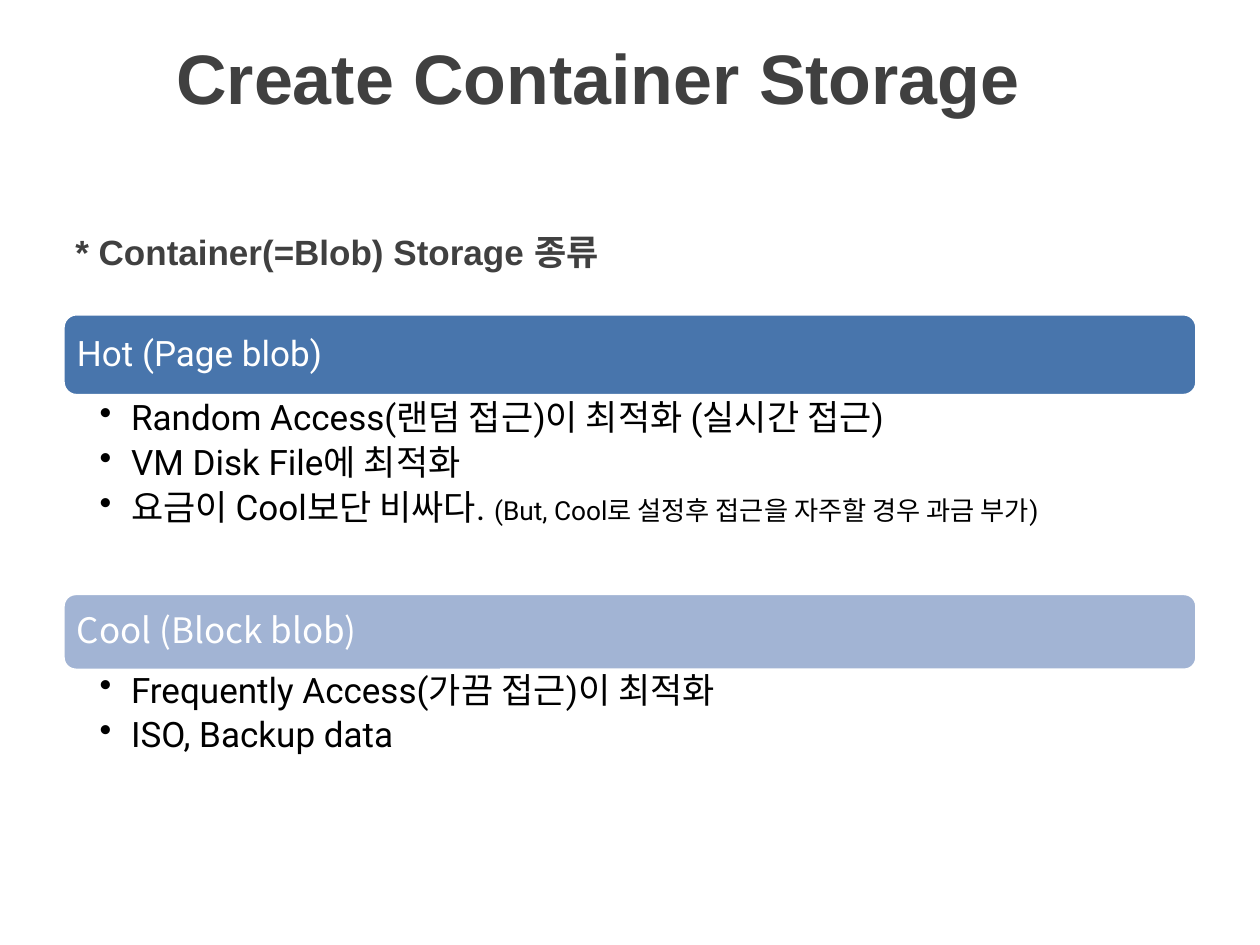
import dataclasses

import lxml.etree
import pptx
import pptx.dml.color
import pptx.enum.shapes
import pptx.enum.text
import pptx.oxml.ns
import pptx.util

Inches = pptx.util.Inches
Pt = pptx.util.Pt
Anchor = pptx.enum.text.MSO_ANCHOR
Align = pptx.enum.text.PP_ALIGN


@dataclasses.dataclass(frozen=True)
class Theme:
    heading_font: str = "Arial"
    body_font: str = "Roboto"
    korean_font: str = "Noto Sans CJK KR"
    heading_color: str = "404040"
    text_color: str = "000000"
    white: str = "FFFFFF"
    hot_color: str = "4875AC"
    cool_color: str = "A2B4D4"
    title_size: int = 40
    body_size: int = 20
    note_size: int = 15


def rgb(code):
    return pptx.dml.color.RGBColor.from_string(code)


class SlideBuilder:
    left, width = 0.5, 9

    def __init__(self, deck, theme):
        self.theme = theme
        self.slide = deck.slides.add_slide(deck.slide_layouts[5])

    def add_span(self, para, text, size, font, color, bold=False):
        span = para.add_run()
        span.text = text
        span.font.size = Pt(size)
        span.font.name = font
        span.font.bold = bold
        span.font.color.rgb = rgb(color)
        east_asian = lxml.etree.Element(pptx.oxml.ns.qn("a:ea"))
        east_asian.set("typeface", self.theme.korean_font)
        span.font._element.find(pptx.oxml.ns.qn("a:latin")).addnext(east_asian)

    def set_frame(self, shape, anchor, insets):
        """Insets are left, top, right and bottom in inches."""
        frame = shape.text_frame
        frame.word_wrap = True
        frame.auto_size = pptx.enum.text.MSO_AUTO_SIZE.NONE
        frame.vertical_anchor = anchor
        (frame.margin_left, frame.margin_top,
         frame.margin_right, frame.margin_bottom) = map(Inches, insets)
        frame.paragraphs[0].alignment = Align.LEFT
        return frame

    def add_text_box(self, top, height):
        return self.slide.shapes.add_textbox(
            Inches(self.left), Inches(top), Inches(self.width), Inches(height))

    def add_heading(self, shape, text, size):
        frame = self.set_frame(shape, Anchor.MIDDLE, (0.1, 0.05, 0.1, 0.05))
        self.add_span(frame.paragraphs[0], text, size,
                      self.theme.heading_font, self.theme.heading_color, True)

    def add_title(self, text):
        title = self.slide.shapes.title
        title.left, title.top = Inches(1.3), Inches(0.02)
        title.width, title.height = Inches(8.7), Inches(1.17)
        self.add_heading(title, text, self.theme.title_size)

    def add_subtitle(self, text):
        self.add_heading(self.add_text_box(1.75, 0.5), text, self.theme.body_size)

    def add_banner(self, text, top, height, color, font):
        banner = self.slide.shapes.add_shape(
            pptx.enum.shapes.MSO_SHAPE.ROUNDED_RECTANGLE,
            Inches(self.left), Inches(top), Inches(self.width), Inches(height))
        banner.shadow.inherit = False
        banner.fill.solid()
        banner.fill.fore_color.rgb = rgb(color)
        banner.line.color.rgb = rgb(self.theme.white)
        banner.line.width = Pt(2)
        frame = self.set_frame(banner, Anchor.MIDDLE, (0.08, 0.08, 0.08, 0.08))
        para = frame.paragraphs[0]
        para.line_spacing = 0.9
        self.add_span(para, text, self.theme.body_size, font, self.theme.white)

    def add_bullets(self, items, top, height):
        """Each item is a list of (text, size) spans."""
        box = self.add_text_box(top, height)
        frame = self.set_frame(box, Anchor.TOP, (0.29, 0.03, 0.16, 0.03))
        for index, spans in enumerate(items):
            para = frame.add_paragraph() if index else frame.paragraphs[0]
            para.line_spacing = 0.9
            para.space_after = Pt(0.2 * self.theme.body_size)
            properties = para._p.get_or_add_pPr()
            properties.set("marL", str(Inches(0.25)))
            properties.set("indent", str(-Inches(0.25)))
            bullet = lxml.etree.SubElement(properties, pptx.oxml.ns.qn("a:buChar"))
            bullet.set("char", "•")
            for text, size in spans:
                self.add_span(para, text, size,
                              self.theme.body_font, self.theme.text_color)


def main():
    theme = Theme()
    deck = pptx.Presentation()
    deck.slide_width, deck.slide_height = Inches(10), Inches(7.5)
    page = SlideBuilder(deck, theme)

    page.add_title("Create Container Storage")
    page.add_subtitle("* Container(=Blob) Storage 종류")

    body, note = theme.body_size, theme.note_size
    page.add_banner("Hot (Page blob)", 2.49, 0.65, theme.hot_color, theme.body_font)
    page.add_bullets([
        [("Random Access(랜덤 접근)이 최적화 (실시간 접근)", body)],
        [("VM Disk File에 최적화", body)],
        [("요금이 Cool보단 비싸다. ", body),
         ("(But, Cool로 설정후 접근을 자주할 경우 과금 부가)", note)],
    ], 3.15, 1.56)

    page.add_banner("Cool (Block blob)", 4.71, 0.61, theme.cool_color, theme.korean_font)
    page.add_bullets([
        [("Frequently Access(가끔 접근)이 최적화", body)],
        [("ISO, Backup data", body)],
    ], 5.31, 1.38)

    deck.save("out.pptx")


if __name__ == "__main__":
    main()
